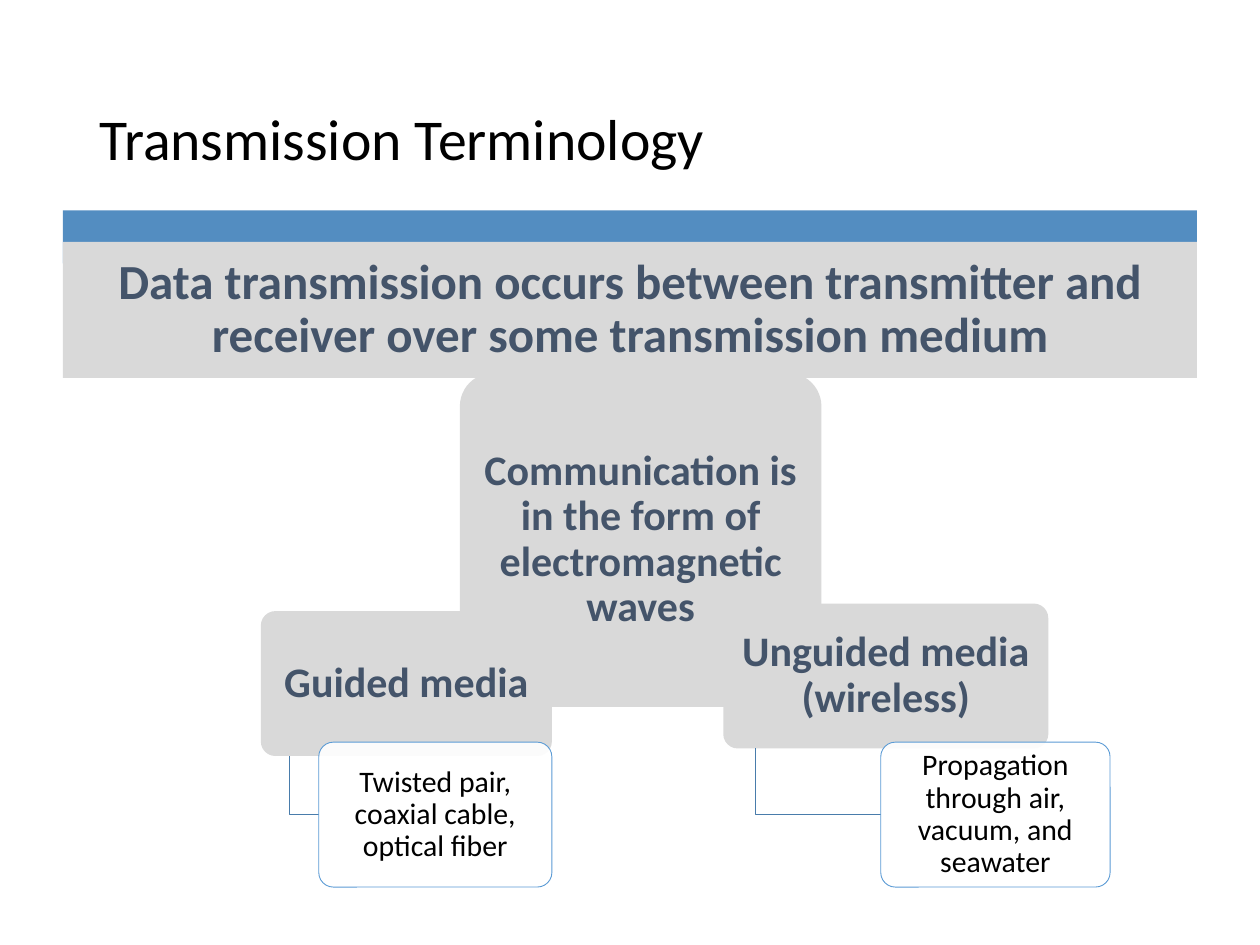
"""Build the Transmission Terminology slide on a grid of 100 columns by 75 rows."""
import pptx
import pptx.dml.color
import pptx.enum.shapes
import pptx.enum.text
import pptx.util
from lxml import etree

SHAPE = pptx.enum.shapes.MSO_SHAPE
ALIGN = pptx.enum.text.PP_ALIGN
MIDDLE = pptx.enum.text.MSO_ANCHOR.MIDDLE
GREY, SLATE, BLACK, OUTLINE = "D9D9D9", "44546A", "000000", "5B9BD5"

deck = pptx.Presentation()
deck.slide_width, deck.slide_height = pptx.util.Inches(10), pptx.util.Inches(7.5)
column, row = deck.slide_width / 100, deck.slide_height / 75
slide = deck.slides.add_slide(deck.slide_layouts[5])


def paint(color_format, color):
    color_format.rgb = pptx.dml.color.RGBColor.from_string(color)


def panel(kind, place, fill, words="", size=24, ink=SLATE, inset=(0.5, 0.3)):
    left, top, width, height = place
    shape = slide.shapes.add_shape(
        kind, int(left * column), int(top * row), int(width * column), int(height * row))
    shape.shadow.inherit = False
    shape.fill.solid()
    paint(shape.fill.fore_color, fill)
    shape.line.fill.background()
    if kind == SHAPE.ROUNDED_RECTANGLE:
        shape.adjustments[0] = 0.1
    if words:
        frame = shape.text_frame
        frame.word_wrap, frame.vertical_anchor = True, MIDDLE
        frame.margin_left = frame.margin_right = int(inset[0] * column)
        frame.margin_top = frame.margin_bottom = int(inset[1] * row)
        paragraph = frame.paragraphs[0]
        paragraph.text = words
        paragraph.alignment, paragraph.line_spacing = ALIGN.CENTER, 0.9
        paragraph.font.name, paragraph.font.size = "Calibri", pptx.util.Pt(size)
        paragraph.font.bold = ink == SLATE
        paint(paragraph.font.color, ink)
    return shape


title = slide.shapes.title
title.left, title.top = int(6.9 * column), int(4 * row)
title.width, title.height = int(86.2 * column), int(14.5 * row)
title.text_frame.text = "Transmission Terminology"
title.text_frame.auto_size = pptx.enum.text.MSO_AUTO_SIZE.NONE
title.text_frame.vertical_anchor = MIDDLE
heading = title.text_frame.paragraphs[0]
heading.alignment, heading.line_spacing = ALIGN.LEFT, 0.9
heading.font.name, heading.font.size = "Calibri", pptx.util.Pt(33)
paint(heading.font.color, BLACK)

panel(SHAPE.RECTANGLE, (5, 16.7, 90, 4.2), "538DC1")
panel(SHAPE.RECTANGLE, (5, 19.2, 90, 10.8), GREY,
      "Data transmission occurs between transmitter and receiver over some transmission medium",
      28, inset=(1.2, 1.2))
panel(SHAPE.ROUNDED_RECTANGLE, (36.5, 29.6, 28.7, 26.5), GREY,
      "Communication is in the form of electromagnetic waves")

card_height, example_top = 11.5, 58.9
branches = [
    ("Guided media", 20.7, 48.5, 23.1,
     "Twisted pair, coaxial cable, optical fiber", 25.3, 18.5),
    ("Unguided media (wireless)", 57.4, 47.9, 25.8,
     "Propagation through air, vacuum, and seawater", 69.9, 18.2),
]
for medium, left, top, width, example, example_left, example_width in branches:
    panel(SHAPE.ROUNDED_RECTANGLE, (left, top, width, card_height), GREY, medium)

    stem, elbow = (left + width / 10) * column, (example_top + card_height / 2) * row
    route = slide.shapes.build_freeform(int(stem), int((top + card_height) * row))
    route.add_line_segments(
        [(int(stem), int(elbow)), (int(example_left * column), int(elbow))], close=False)
    link = route.convert_to_shape()
    link.shadow.inherit = False
    link.fill.background()
    paint(link.line.color, "497CAB")
    link.line.width = pptx.util.Pt(0.5)

    card = panel(SHAPE.ROUNDED_RECTANGLE,
                 (example_left, example_top, example_width, card_height),
                 "FFFFFF", example, 17, BLACK, (0.4, 0.2))
    paint(card.line.color, OUTLINE)
    card.line.width = pptx.util.Pt(0.5)
    white = card.fill._xPr.find(".//" + pptx.oxml.ns.qn("a:srgbClr"))
    etree.SubElement(white, pptx.oxml.ns.qn("a:alpha"), val="90000")

deck.save("out.pptx")
